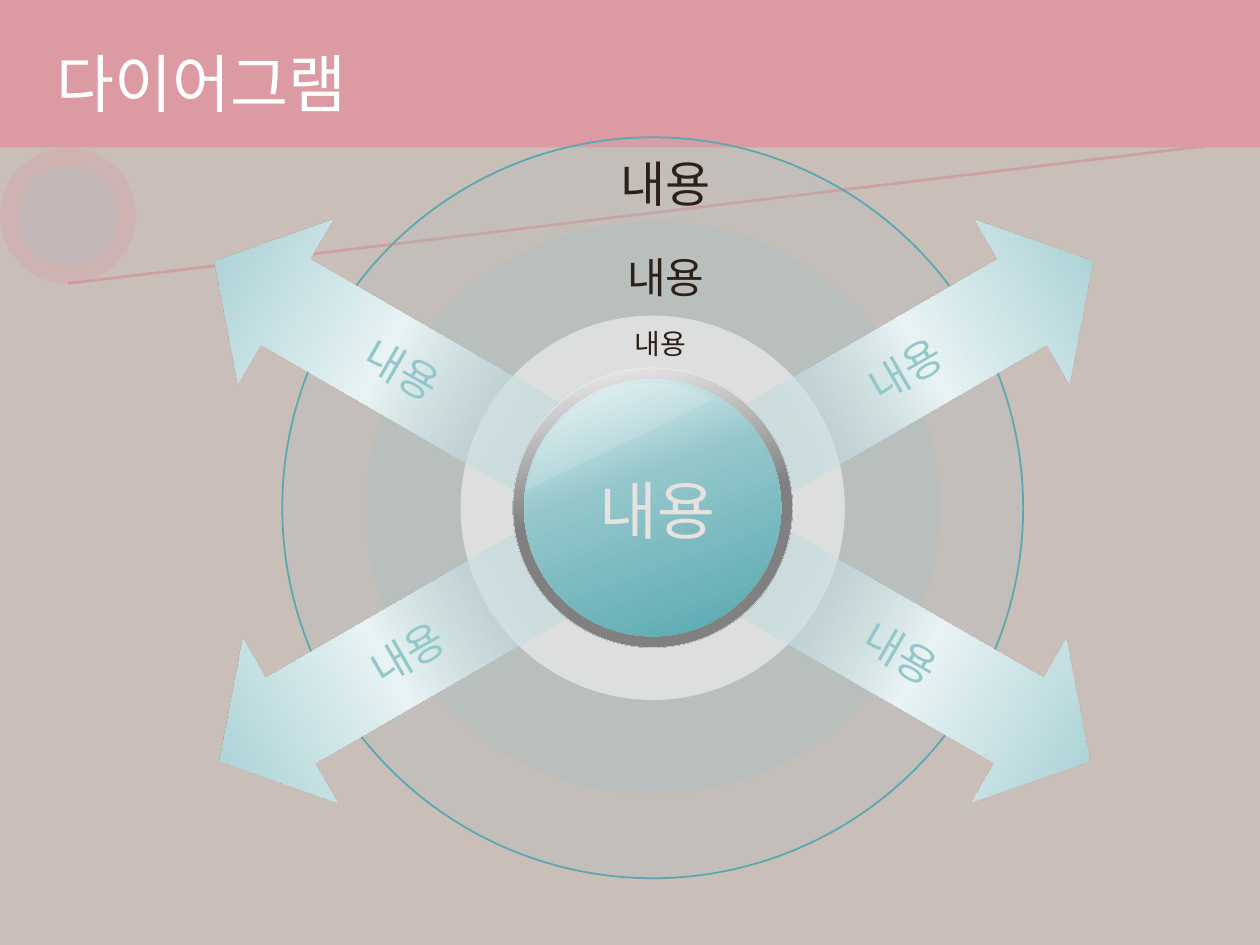
from copy import deepcopy
from lxml.etree import SubElement
from pptx import Presentation
from pptx.dml.color import RGBColor
from pptx.enum.shapes import MSO_CONNECTOR, MSO_SHAPE
from pptx.enum.text import MSO_ANCHOR, PP_ALIGN
from pptx.oxml.ns import qn
from pptx.util import Inches, Pt

SAND = RGBColor(0xC9, 0xBE, 0xB8)
ROSE = RGBColor(0xDC, 0x9B, 0xA3)
PINK = RGBColor(0xE8, 0x8B, 0x9D)
RED = RGBColor(0xD8, 0x3D, 0x5C)
AQUA = RGBColor(0x94, 0xC7, 0xCC)
TEAL = RGBColor(0x58, 0xA8, 0xB0)
MIST = RGBColor(0xEA, 0xF4, 0xF5)
ICE = RGBColor(0xF4, 0xF9, 0xFA)
PALE = RGBColor(0xF2, 0xF2, 0xF2)
GRAY = RGBColor(0x80, 0x80, 0x80)
WHITE = RGBColor(0xFF, 0xFF, 0xFF)
CREAM = RGBColor(0xE7, 0xE2, 0xDF)
DARK = RGBColor(0x2C, 0x20, 0x18)

deck = Presentation()
deck.slide_width, deck.slide_height = Inches(10), Inches(7.5)
slide = deck.slides.add_slide(deck.slide_layouts[6])
slide.background.fill.solid()
slide.background.fill.fore_color.rgb = SAND


def draw(kind, left, top, width, height, color, alpha=100):
    shape = slide.shapes.add_shape(
        kind, Inches(left), Inches(top), Inches(width), Inches(height))
    shape.shadow.inherit = False
    shape.fill.solid()
    shape.fill.fore_color.rgb = color
    if alpha < 100:
        tint = next(shape.element.spPr.iter(qn("a:srgbClr")))
        SubElement(tint, qn("a:alpha"), val=str(alpha * 1000))
    shape.line.fill.background()
    return shape


def blend(shape, angle, stops):
    shape.fill.gradient()
    shape.fill.gradient_angle = -angle % 360
    group = next(shape.element.spPr.iter(qn("a:gsLst")))
    group.append(deepcopy(group[0]))
    for stop, (place, color) in zip(shape.fill.gradient_stops, stops):
        stop.position = place
        stop.color.rgb = color


draw(MSO_SHAPE.OVAL, 0, 1.17, 1.08, 1.08, PINK, 22)
draw(MSO_SHAPE.OVAL, 0.15, 1.32, 0.79, 0.79, AQUA, 22)

ray = slide.shapes.add_connector(
    MSO_CONNECTOR.STRAIGHT, Inches(0.54), Inches(2.25), Inches(9.56), Inches(1.16))
ray.line.color.rgb = RED
ray.line.width = Pt(1.5)
SubElement(next(ray.element.spPr.iter(qn("a:srgbClr"))), qn("a:alpha"), val="23000")
SubElement(ray.element.spPr, qn("a:effectLst"))

draw(MSO_SHAPE.RECTANGLE, 0, 0, 10, 1.17, ROSE)

for size, color, alpha in [(5.88, AQUA, 10), (4.55, AQUA, 20), (3.05, WHITE, 50)]:
    ring = draw(MSO_SHAPE.OVAL, 5.18 - size / 2, 4.03 - size / 2, size, size, color, alpha)
    if size == 5.88:
        ring.line.color.rgb = TEAL
        ring.line.width = Pt(1)

for left, top, turn, flip in [
        (5.75, 4.51, 30, False), (5.78, 2.09, 330, False),
        (1.54, 4.51, 330, True), (1.5, 2.09, 30, True)]:
    arrow = draw(MSO_SHAPE.RIGHT_ARROW, left, top, 3.1, 1.51, AQUA)
    arrow.adjustments[0], arrow.adjustments[1] = 0.52, 0.43
    arrow.rotation = turn
    if flip:
        arrow.element.spPr.xfrm.set("flipH", "1")
    blend(arrow, 0, [(0, AQUA), (0.5, MIST), (1, AQUA)])
    tint = next(arrow.element.spPr.iter(qn("a:srgbClr")))
    SubElement(tint, qn("a:alpha"), val="0")
    frame = arrow.text_frame
    frame.word_wrap = False
    frame.vertical_anchor = MSO_ANCHOR.MIDDLE
    para = frame.paragraphs[0]
    para.text = "내용"
    para.alignment = PP_ALIGN.CENTER
    para.font.name, para.font.size = "Lato", Pt(24)
    para.font.color.rgb = AQUA

rim = draw(MSO_SHAPE.OVAL, 4.07, 2.92, 2.22, 2.22, GRAY)
blend(rim, 80, [(0, PALE), (0.5, GRAY), (1, GRAY)])
rim.line.color.rgb = PALE
rim.line.width = Pt(0.25)
ball = draw(MSO_SHAPE.OVAL, 4.16, 3.01, 2.04, 2.04, AQUA)
blend(ball, 70, [(0, ICE), (0.4, AQUA), (1, TEAL)])
shine = draw(MSO_SHAPE.CHORD, 4.16, 3.04, 2.04, 2.04, MIST, 20)
shine.adjustments[0], shine.adjustments[1] = 59.63, 125.32
shine.rotation = 90

for text, left, top, width, height, size, font, color in [
        ("다이어그램", 0.35, 0.14, 9.27, 1.03, 36, "Arial", WHITE),
        ("내용", 4.66, 3.69, 1.2, 0.71, 36, "Lato", CREAM),
        ("내용", 4.94, 2.54, 0.66, 0.37, 16, "Lato", DARK),
        ("내용", 4.88, 1.95, 0.87, 0.49, 24, "Lato", DARK),
        ("내용", 4.83, 1.17, 0.99, 0.57, 28, "Lato", DARK)]:
    box = slide.shapes.add_textbox(
        Inches(left), Inches(top), Inches(width), Inches(height))
    frame = box.text_frame
    frame.word_wrap = font == "Arial"
    frame.vertical_anchor = MSO_ANCHOR.MIDDLE
    para = frame.paragraphs[0]
    para.text = text
    para.font.name, para.font.size = font, Pt(size)
    para.font.color.rgb = color

deck.save("out.pptx")
